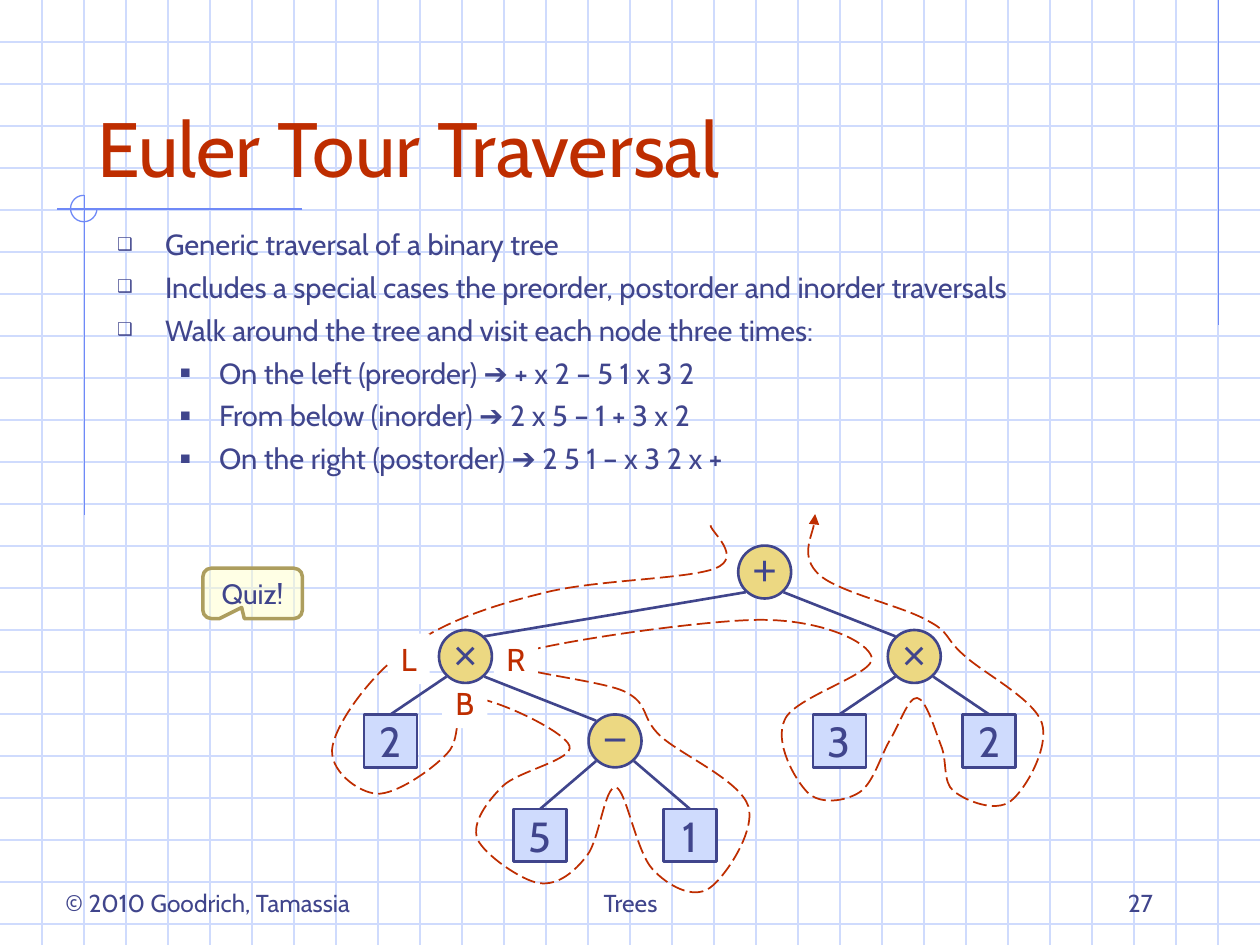
import lxml.etree
import pptx
import pptx.dml.color
import pptx.enum.dml
import pptx.enum.shapes
import pptx.enum.text
import pptx.oxml.ns
import pptx.util

Inches = pptx.util.Inches
Pt = pptx.util.Pt
qn = pptx.oxml.ns.qn
Shape = pptx.enum.shapes.MSO_SHAPE
Align = pptx.enum.text.PP_ALIGN
Anchor = pptx.enum.text.MSO_ANCHOR

COLORS = {
    "grid": "CFDBFD", "accent": "6F89F7", "ink": "40458C", "red": "BE2D00",
    "gold": "ECD882", "white": "FFFFFF", "cream": "FFFFCC", "olive": "AD9E5E",
}
BULLETS = [
    (0, "Generic traversal of a binary tree"),
    (0, "Includes a special cases the preorder, postorder and inorder traversals"),
    (0, "Walk around the tree and visit each node three times:"),
    (1, "On the left (preorder) ➔ + x 2 – 5 1 x 3 2"),
    (1, "From below (inorder) ➔ 2 x 5 – 1 + 3 x 2"),
    (1, "On the right (postorder) ➔ 2 5 1 – x 3 2 x +"),
]
BULLET_STYLES = [("❑", 0.38, 0.38), ("■", 0.81, 0.31)]

NODE_SIZE = 0.42
COLUMN_GAP = 4.75 / 8
ROWS = [4.54, 5.21, 5.88, 6.63]
NODES = [
    ("2", 2), ("×", 1), ("5", 3), ("−", 2), ("1", 3),
    ("+", 0), ("3", 2), ("×", 1), ("2", 2),
]
EDGES = [(5, 1), (5, 7), (1, 0), (1, 3), (3, 2), (3, 4), (7, 6), (7, 8)]
TOUR = [
    (5.64, 4.17),
    (5.64, 4.22), (5.9, 4.42), (5.68, 4.51), (5.46, 4.6), (4.71, 4.6), (4.3, 4.71),
    (3.89, 4.81), (3.51, 4.94), (3.23, 5.15), (2.95, 5.35), (2.68, 5.72), (2.64, 5.92),
    (2.6, 6.11), (2.84, 6.29), (2.99, 6.3), (3.14, 6.31), (3.43, 6.11), (3.55, 5.98),
    (3.68, 5.85), (3.58, 5.55), (3.74, 5.54), (3.9, 5.53), (4.48, 5.8), (4.52, 5.92),
    (4.56, 6.03), (4.11, 6.12), (3.99, 6.24), (3.87, 6.36), (3.74, 6.53), (3.79, 6.66),
    (3.84, 6.78), (4.14, 6.99), (4.28, 7.01), (4.43, 7.03), (4.56, 6.92), (4.66, 6.79),
    (4.76, 6.66), (4.8, 6.23), (4.89, 6.25), (4.97, 6.27), (5.05, 6.76), (5.18, 6.9),
    (5.3, 7.03), (5.5, 7.14), (5.63, 7.05), (5.75, 6.97), (6, 6.6), (5.94, 6.4),
    (5.87, 6.19), (5.4, 5.99), (5.24, 5.84), (5.08, 5.69), (5.16, 5.59), (4.96, 5.49),
    (4.76, 5.39), (3.84, 5.31), (4.02, 5.22), (4.2, 5.12), (5.56, 4.92), (6.04, 4.92),
    (6.52, 4.92), (6.89, 5.09), (6.92, 5.22), (6.95, 5.35), (6.31, 5.53), (6.23, 5.71),
    (6.14, 5.89), (6.31, 6.19), (6.41, 6.29), (6.51, 6.39), (6.71, 6.36), (6.82, 6.29),
    (6.93, 6.22), (6.99, 6), (7.06, 5.88), (7.14, 5.75), (7.21, 5.53), (7.28, 5.54),
    (7.35, 5.55), (7.42, 5.79), (7.47, 5.92), (7.52, 6.04), (7.48, 6.21), (7.57, 6.28),
    (7.67, 6.36), (7.9, 6.45), (8.02, 6.36), (8.14, 6.27), (8.33, 5.93), (8.27, 5.74),
    (8.21, 5.55), (7.8, 5.34), (7.65, 5.2), (7.49, 5.06), (7.55, 5.02), (7.35, 4.92),
    (7.16, 4.81), (6.65, 4.7), (6.5, 4.56), (6.35, 4.42), (6.48, 4.18), (6.47, 4.08),
]


def rgb(name):
    return pptx.dml.color.RGBColor.from_string(COLORS[name])


def add_text(para, text, size=14, color="ink", font="Cabin", align=Align.LEFT):
    para.alignment = align
    span = para.add_run()
    span.text = text
    span.font.size = Pt(size)
    span.font.name = font
    span.font.color.rgb = rgb(color)


class SlidePainter:
    def __init__(self, page):
        self.page = page
        self.shapes = page.shapes

    def frame(self, item, anchor, wrap=True, insets=(0.1, 0.05, 0.1, 0.05)):
        frame = item.text_frame
        frame.auto_size = pptx.enum.text.MSO_AUTO_SIZE.NONE
        frame.word_wrap = wrap
        frame.vertical_anchor = anchor
        frame.margin_left, frame.margin_top, frame.margin_right, frame.margin_bottom = map(Inches, insets)
        return frame

    def placeholder(self, index, box, anchor):
        item = self.page.placeholders[index]
        item.left, item.top, item.width, item.height = map(Inches, box)
        item._element.getparent().append(item._element)
        return self.frame(item, anchor)

    def title(self, text, box):
        add_text(self.placeholder(0, box, Anchor.BOTTOM).paragraphs[0], text, size=44, color="red")

    def bullets(self, items, box):
        frame = self.placeholder(1, box, Anchor.TOP)
        for number, (level, text) in enumerate(items):
            para = frame.add_paragraph() if number else frame.paragraphs[0]
            para.level = level
            self.bullet(para, *BULLET_STYLES[level])
            para.space_before = Pt(4.5 if number else 0)
            before, arrow, after = text.partition("➔")
            for part, font in ((before, "Cabin"), (arrow, "Arial"), (after, "Cabin")):
                if part:
                    add_text(para, part, size=16.6, font=font)

    def bullet(self, para, mark, left, hanging):
        props = para._p.get_or_add_pPr()
        props.set("marL", str(Inches(left)))
        props.set("indent", str(-Inches(hanging)))
        color = lxml.etree.SubElement(props, qn("a:buClr"))
        lxml.etree.SubElement(color, qn("a:srgbClr"), val=COLORS["ink"])
        lxml.etree.SubElement(props, qn("a:buSzPct"), val="60000")
        lxml.etree.SubElement(props, qn("a:buFont"), typeface="Arial")
        lxml.etree.SubElement(props, qn("a:buChar"), char=mark)

    def footer(self, text, box, align):
        item = self.shapes.add_textbox(*map(Inches, box))
        add_text(self.frame(item, Anchor.BOTTOM).paragraphs[0], text, align=align)

    def outline(self, item, color, width):
        item.line.color.rgb = rgb(color)
        item.line.width = Pt(width)

    def line(self, start, end, color, width=0.75):
        item = self.shapes.add_connector(
            pptx.enum.shapes.MSO_CONNECTOR.STRAIGHT, *map(Inches, (*start, *end)))
        self.outline(item, color, width)
        lxml.etree.SubElement(item._element.spPr, qn("a:effectLst"))
        return item

    def shape(self, kind, box, fill=None, line=None, width=1.5):
        item = self.shapes.add_shape(kind, *map(Inches, box))
        item.shadow.inherit = False
        if fill:
            item.fill.solid()
            item.fill.fore_color.rgb = rgb(fill)
        else:
            item.fill.background()
        if line:
            self.outline(item, line, width)
        else:
            item.line.fill.background()
        return item

    def label(self, text, box):
        item = self.shape(Shape.RECTANGLE, box, "white")
        para = self.frame(item, Anchor.TOP, False).paragraphs[0]
        add_text(para, text, size=18, color="red", align=Align.CENTER)

    def node(self, text, center):
        box = [middle - NODE_SIZE / 2 for middle in center] + [NODE_SIZE] * 2
        if text.isdigit():
            item = self.shape(Shape.RECTANGLE, box, "grid", "ink")
            frame, font = self.frame(item, Anchor.MIDDLE, False), "Cabin"
        else:
            item = self.shape(Shape.OVAL, box, "gold", "ink")
            frame, font = self.frame(item, Anchor.MIDDLE, False, (0, 0, 0, 0.05)), "Arial"
        add_text(frame.paragraphs[0], text, size=24, font=font, align=Align.CENTER)
        return item

    def callout(self, text, box):
        item = self.shape(Shape.ROUNDED_RECTANGULAR_CALLOUT, box, "cream", "olive", 2)
        for index, value in enumerate((-0.11, 0.28, 0.17)):
            item.adjustments[index] = value
        color = next(item._element.spPr.iter(qn("a:srgbClr")))
        lxml.etree.SubElement(color, qn("a:alpha"), val="50000")
        add_text(self.frame(item, Anchor.MIDDLE, False).paragraphs[0], text, size=16, align=Align.CENTER)

    def tour(self, points):
        start, *rest = [(Inches(x), Inches(y)) for x, y in points]
        builder = self.shapes.build_freeform(*start)
        builder.add_line_segments(rest, close=False)
        item = builder.convert_to_shape()
        route = next(item._element.iter(qn("a:path")))
        steps = route.findall(qn("a:lnTo"))
        for first in range(0, len(steps), 3):
            curve = lxml.etree.SubElement(route, qn("a:cubicBezTo"))
            for step in steps[first:first + 3]:
                curve.append(step[0])
                route.remove(step)
        item.shadow.inherit = False
        item.fill.background()
        self.outline(item, "red", 1)
        item.line.dash_style = pptx.enum.dml.MSO_LINE.LONG_DASH
        lxml.etree.SubElement(item._element.spPr.find(qn("a:ln")), qn("a:tailEnd"), type="triangle")

    def background(self):
        for row in range(1, 23):
            self.line((0, row / 3), (10, row / 3), "grid")
        for column in range(1, 30):
            self.line((column / 3, 0), (column / 3, 7.5), "grid")
        self.line((9.67, 0), (9.67, 2.58), "accent")
        self.line((2.4, 1.66), (0.45, 1.66), "accent")
        self.line((0.67, 1.55), (0.67, 4.09), "accent")
        ring = self.shape(Shape.ARC, (0.56, 1.55, 0.21, 0.21), None, "accent", 0.75)
        ring.adjustments[0], ring.adjustments[1] = 0, 162

    def tree(self):
        centers = [(3.1 + column * COLUMN_GAP, ROWS[row]) for column, (_, row) in enumerate(NODES)]
        items = [self.node(text, center) for (text, _), center in zip(NODES, centers)]
        for parent, child in EDGES:
            (x, y), (child_x, child_y) = centers[parent], centers[child]
            side = 0.15 if child > parent else -0.15
            is_leaf = NODES[child][0].isdigit()
            end = (child_x if is_leaf else child_x - side, child_y - (NODE_SIZE / 2 if is_leaf else 0.16))
            edge = self.line((x + side, y + 0.16), end, "ink", 1.5)
            if is_leaf:
                edge.end_connect(items[child], 0)


def main():
    deck = pptx.Presentation()
    deck.slide_width, deck.slide_height = Inches(10), Inches(7.5)
    painter = SlidePainter(deck.slides.add_slide(deck.slide_layouts[1]))
    painter.background()
    painter.title("Euler Tour Traversal", (0.67, 0.33, 8.5, 1.25))
    painter.bullets(BULLETS, (0.83, 1.75, 8.67, 2.33))
    painter.tour(TOUR)
    for text, box in (("L", (3.08, 5.03, 0.33, 0.4)), ("B", (3.51, 5.38, 0.36, 0.4)), ("R", (3.92, 5.03, 0.35, 0.4))):
        painter.label(text, box)
    painter.tree()
    painter.callout("Quiz!", (1.61, 4.51, 0.79, 0.4))
    painter.footer("© 2010 Goodrich, Tamassia", (0.42, 6.83, 2.75, 0.5), Align.LEFT)
    painter.footer("Trees", (3.42, 6.83, 3.17, 0.5), Align.CENTER)
    painter.footer("27", (7.17, 6.83, 2.08, 0.5), Align.RIGHT)
    deck.save("out.pptx")


if __name__ == "__main__":
    main()
